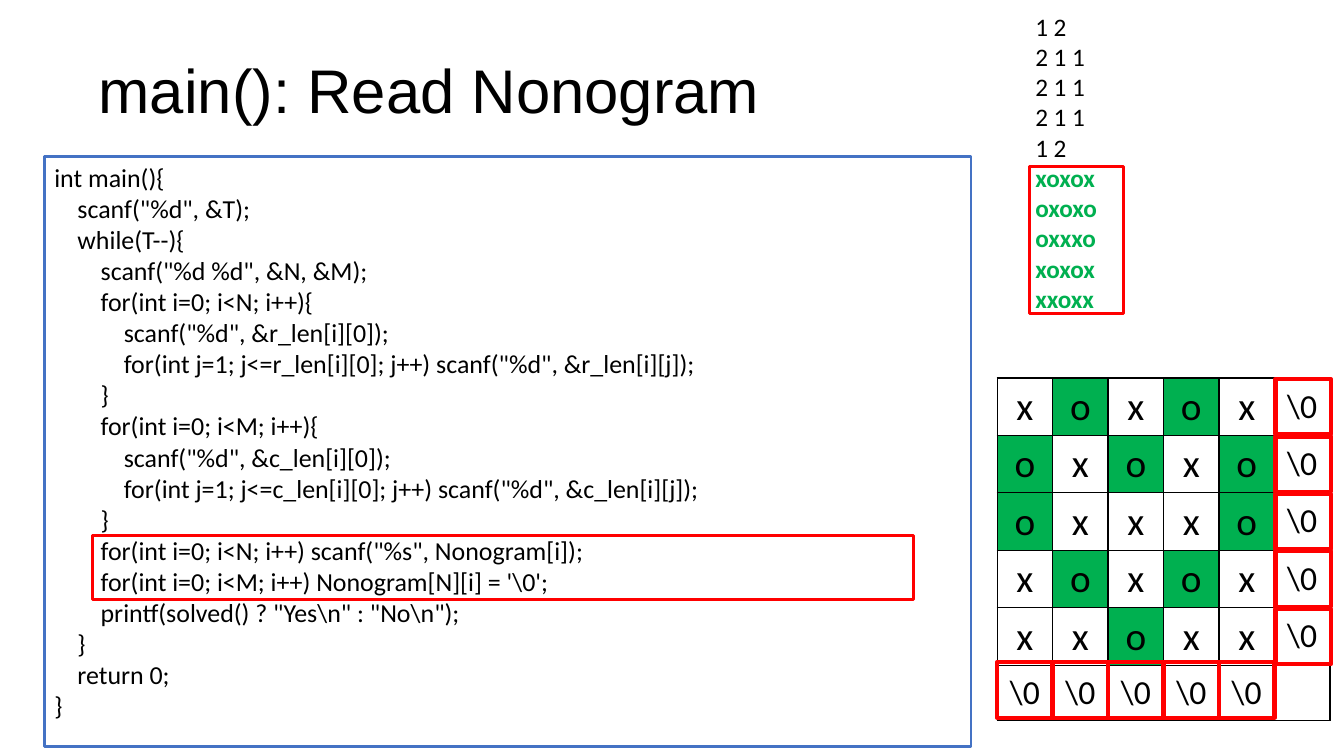
import pptx
import pptx.util
import pptx.dml.color
import pptx.enum.shapes
import pptx.enum.text
import pptx.oxml
import pptx.oxml.ns
from pptx.util import Inches

TITLE = "main(): Read Nonogram"
CODE = [
    (0, "int main(){"),
    (1, 'scanf("%d", &T);'),
    (1, "while(T--){"),
    (2, 'scanf("%d %d", &N, &M);'),
    (2, "for(int i=0; i<N; i++){"),
    (3, 'scanf("%d", &r_len[i][0]);'),
    (3, 'for(int j=1; j<=r_len[i][0]; j++) scanf("%d", &r_len[i][j]);'),
    (2, "}"),
    (2, "for(int i=0; i<M; i++){"),
    (3, 'scanf("%d", &c_len[i][0]);'),
    (3, 'for(int j=1; j<=c_len[i][0]; j++) scanf("%d", &c_len[i][j]);'),
    (2, "}"),
    (2, 'for(int i=0; i<N; i++) scanf("%s", Nonogram[i]);'),
    (2, "for(int i=0; i<M; i++) Nonogram[N][i] = '\\0';"),
    (2, 'printf(solved() ? "Yes\\n" : "No\\n");'),
    (1, "}"),
    (1, "return 0;"),
    (0, "}"),
]
CLUES = ["1 2", "2 1 1", "2 1 1", "2 1 1", "1 2"]
NONOGRAM = ["xoxox", "oxoxo", "oxxxo", "xoxox", "xxoxx"]
TERMINATOR = "\\0"
COLORS = {"text": "000000", "frame": "4472C4", "highlight": "FF0000", "filled": "00B050"}

CODE_INDENT = 0.23
GRID_LEFT, GRID_TOP = 9.89, 3.75
CELL_WIDTH, ROW_PITCH = 0.55, 0.57
SIZE = len(NONOGRAM)


def rgb(name):
    """Return the named palette colour."""
    return pptx.dml.color.RGBColor.from_string(COLORS[name])


def add_run(paragraph, text, size, color="text", bold=False, font="Calibri"):
    """Append one styled run."""
    run = paragraph.add_run()
    run.text = text
    run.font.size = pptx.util.Pt(size)
    run.font.name = font
    run.font.bold = bold
    run.font.color.rgb = rgb(color)


def add_frame(slide, box, color, width):
    """Draw an unfilled rectangle."""
    frame = slide.shapes.add_shape(
        pptx.enum.shapes.MSO_SHAPE.RECTANGLE, *map(Inches, box))
    frame.shadow.inherit = False
    frame.fill.background()
    frame.line.color.rgb = rgb(color)
    frame.line.width = pptx.util.Pt(width)
    return frame


def next_paragraph(body, index):
    """Return the first paragraph, or a new one after it."""
    return body.add_paragraph() if index else body.paragraphs[0]


def add_code(slide):
    """Draw the framed program listing."""
    body = add_frame(slide, (0.44, 1.55, 9.19, 5.86), "frame", 2).text_frame
    body.word_wrap = True
    body.vertical_anchor = pptx.enum.text.MSO_ANCHOR.TOP
    for index, (level, line) in enumerate(CODE):
        paragraph = next_paragraph(body, index)
        paragraph.alignment = pptx.enum.text.PP_ALIGN.LEFT
        properties = paragraph._p.get_or_add_pPr()
        properties.set("marL", str(Inches(CODE_INDENT * level)))
        properties.set("indent", "0")
        add_run(paragraph, line, 18.5)


def add_title(slide):
    """Write the slide title."""
    body = slide.shapes.add_textbox(*map(Inches, (0.88, 0.2, 11.5, 1.45))).text_frame
    body.word_wrap = True
    body.vertical_anchor = pptx.enum.text.MSO_ANCHOR.MIDDLE
    body.paragraphs[0].line_spacing = 0.9
    add_run(body.paragraphs[0], TITLE, 44, font="Arial")


def add_input(slide):
    """Write the sample input."""
    body = slide.shapes.add_textbox(*map(Inches, (10.17, 0.06, 1.17, 3.13))).text_frame
    body.word_wrap = True
    for index, line in enumerate(CLUES + NONOGRAM):
        solution = index >= len(CLUES)
        add_run(next_paragraph(body, index), line, 18,
                "filled" if solution else "text", solution)


def set_borders(cell):
    """Give a cell thin black borders."""
    properties = cell._tc.get_or_add_tcPr()
    for position, side in enumerate(("lnL", "lnR", "lnT", "lnB")):
        properties.insert(position, pptx.oxml.parse_xml(
            f'<a:{side} {pptx.oxml.ns.nsdecls("a")} w="12700"><a:solidFill>'
            f'<a:srgbClr val="{COLORS["text"]}"/></a:solidFill></a:{side}>'))


def add_grid(slide):
    """Draw the nonogram array with its terminators."""
    rows = [[*line, TERMINATOR] for line in NONOGRAM] + [[TERMINATOR] * SIZE + [""]]
    count = SIZE + 1
    grid = slide.shapes.add_table(
        count, count, Inches(GRID_LEFT), Inches(GRID_TOP),
        Inches(CELL_WIDTH * count), Inches(ROW_PITCH * SIZE + CELL_WIDTH)).table
    grid.first_row = grid.horz_banding = False
    for r, symbols in enumerate(rows):
        grid.columns[r].width = Inches(CELL_WIDTH)
        grid.rows[r].height = Inches(ROW_PITCH if r < SIZE else CELL_WIDTH)
        for c, symbol in enumerate(symbols):
            cell = grid.cell(r, c)
            cell.vertical_anchor = pptx.enum.text.MSO_ANCHOR.MIDDLE
            if symbol == "o":
                cell.fill.solid()
                cell.fill.fore_color.rgb = rgb("filled")
            else:
                cell.fill.background()
            set_borders(cell)
            if symbol:
                paragraph = cell.text_frame.paragraphs[0]
                paragraph.alignment = pptx.enum.text.PP_ALIGN.CENTER
                add_run(paragraph, symbol, 24 if symbol == TERMINATOR else 28)


def add_terminator_frames(slide):
    """Outline the terminators below and beside the nonogram."""
    below = [(GRID_LEFT + CELL_WIDTH * i, 6.57) for i in range(SIZE)]
    beside = [(12.65, 3.76 + ROW_PITCH * i) for i in range(SIZE)]
    for left, top in below + beside:
        add_frame(slide, (left, top, CELL_WIDTH, CELL_WIDTH), "highlight", 3)


def main():
    """Build and save the slide."""
    deck = pptx.Presentation()
    deck.slide_width, deck.slide_height = Inches(13.33), Inches(7.5)
    slide = deck.slides.add_slide(deck.slide_layouts[6])
    add_code(slide)
    add_title(slide)
    add_frame(slide, (0.92, 5.31, 8.14, 0.64), "highlight", 2.25)
    add_frame(slide, (10.21, 1.65, 0.93, 1.46), "highlight", 2.25)
    add_input(slide)
    add_grid(slide)
    add_terminator_frames(slide)
    deck.save("out.pptx")


if __name__ == "__main__":
    main()
